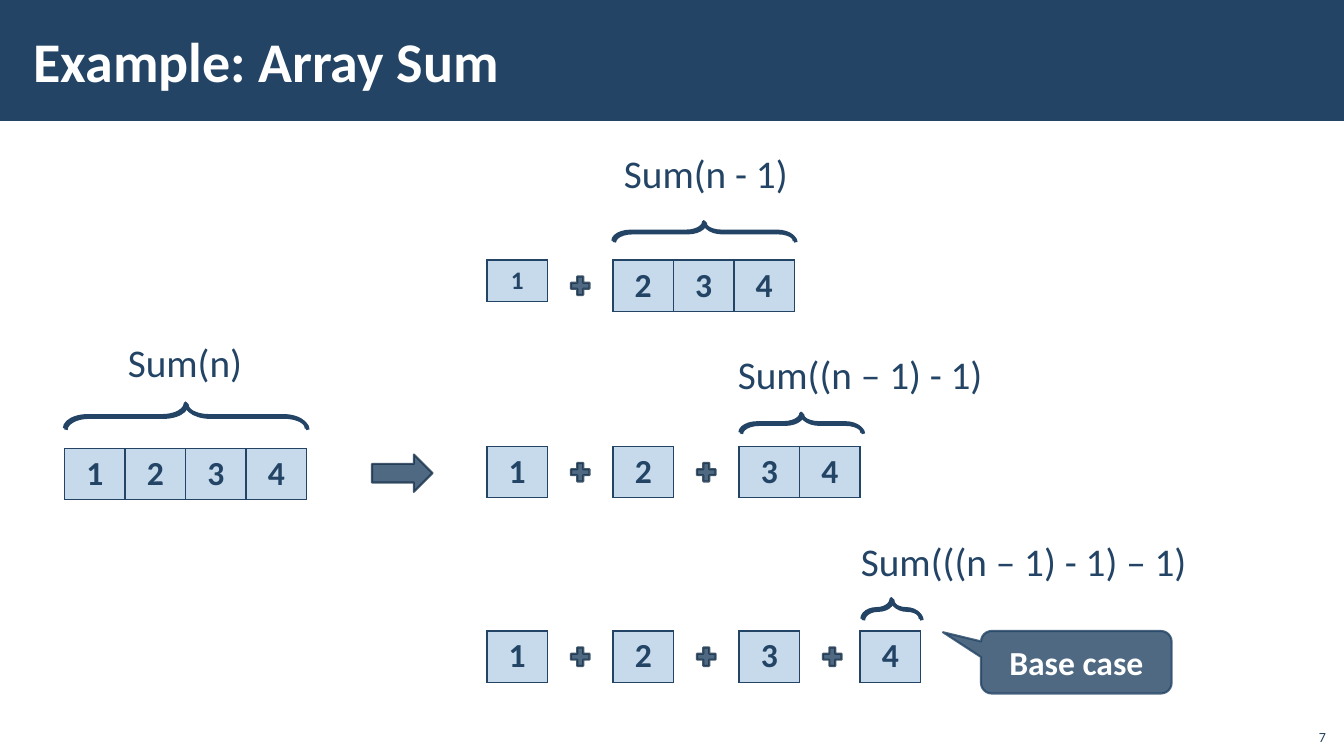
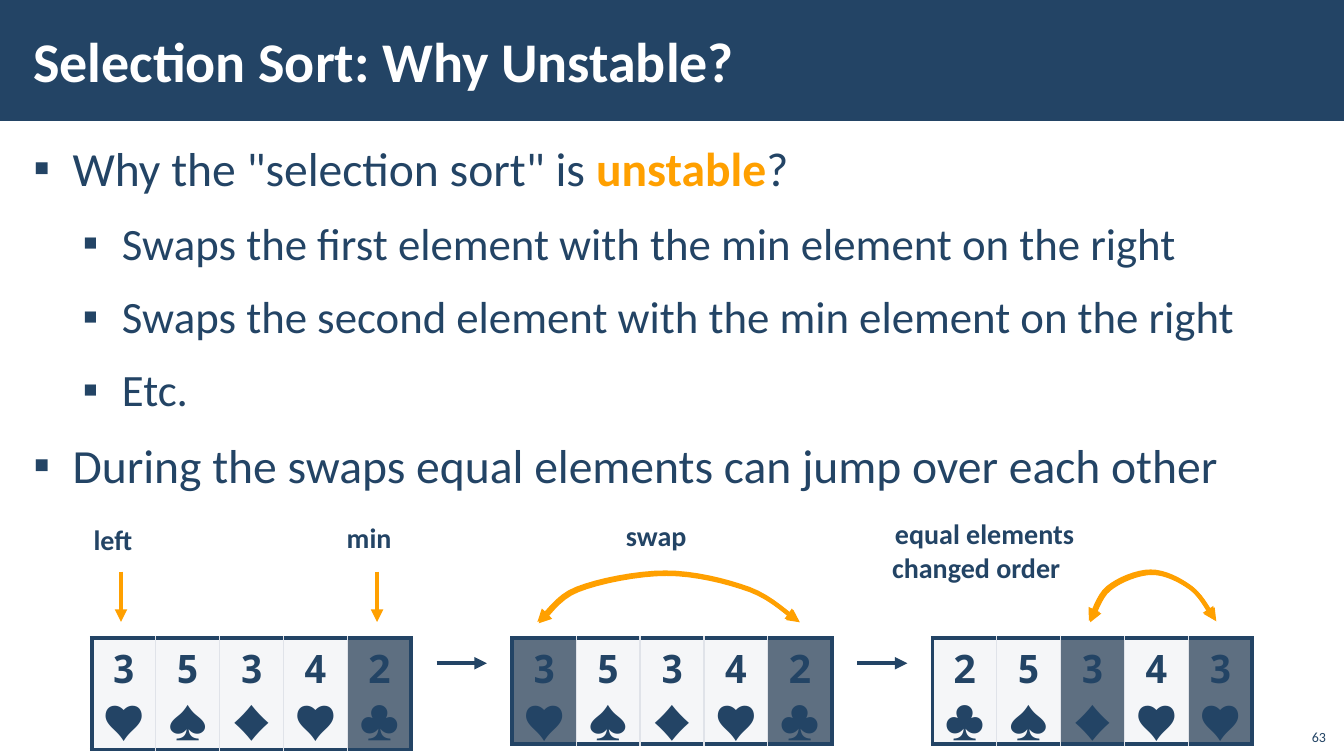
from lxml import etree
from pptx import Presentation
from pptx.dml.color import RGBColor
from pptx.enum.shapes import MSO_CONNECTOR, MSO_SHAPE
from pptx.enum.text import MSO_ANCHOR, MSO_AUTO_SIZE, PP_ALIGN
from pptx.oxml.ns import qn
from pptx.util import Inches, Pt

STRAIGHT = MSO_CONNECTOR.STRAIGHT
RECT, PLUS, BLOCK_ARROW = MSO_SHAPE.RECTANGLE, MSO_SHAPE.MATH_PLUS, MSO_SHAPE.RIGHT_ARROW
BRACE, CALLOUT = MSO_SHAPE.LEFT_BRACE, MSO_SHAPE.ROUNDED_RECTANGULAR_CALLOUT
LEFT, CENTER, RIGHT = PP_ALIGN.LEFT, PP_ALIGN.CENTER, PP_ALIGN.RIGHT
MIDDLE, BOTTOM = MSO_ANCHOR.MIDDLE, MSO_ANCHOR.BOTTOM
NO_FIT = MSO_AUTO_SIZE.NONE
FONT, CARD_FONT = "Calibri", "Noto Sans Mono"
COLORS = {"navy": "234465", "dark": "1A334C", "sky": "C7DAEC", "pale": "E0E3E9",
          "orange": "FFA000", "white": "FFFFFF"}
CELL_W, CARD_W, STEP = 0.6, 0.634, 1.25
ARC = [(0, 1), (0.03, 0.9), (0.07, 0.49), (0.15, 0.33), (0.23, 0.16), (0.38, 0),
       (0.49, 0), (0.6, 0), (0.72, 0.16), (0.81, 0.33), (0.9, 0.51), (0.96, 0.86), (1, 0.98)]


def rgb(name):
    """Return a palette colour."""
    return RGBColor.from_string(COLORS[name])


def box(x, y, w, h):
    """Return a box in inches as lengths."""
    return Inches(x), Inches(y), Inches(w), Inches(h)


def add_run(p, text, size, color="navy", bold=False, font=FONT):
    """Append a formatted run."""
    r = p.add_run()
    r.text = text
    r.font.name, r.font.size, r.font.bold = font, Pt(size), bold
    r.font.color.rgb = rgb(color)


def set_alpha(parent, percent):
    """Make the solid fill of an element partly transparent."""
    clr = parent.find(qn("a:solidFill"))[0]
    etree.SubElement(clr, qn("a:alpha")).set("val", str(percent * 1000))


def add_heads(ln, *tags):
    """Put triangle arrowheads on a line."""
    for tag in tags:
        etree.SubElement(ln, qn(tag)).set("type", "triangle")


def add_shadow(sp, color):
    """Give a shape a thin hard shadow."""
    sp.shadow.inherit = False
    effects = sp._element.spPr.find(qn("a:effectLst"))
    shadow = etree.SubElement(effects, qn("a:outerShdw"), dist="17780", dir="2700000")
    etree.SubElement(shadow, qn("a:srgbClr")).set("val", COLORS[color])


def set_frame(tf, anchor=None):
    """Apply the placeholder margins and turn off text fitting."""
    tf.word_wrap, tf.auto_size = True, NO_FIT
    tf.margin_left = tf.margin_right = Inches(0.12)
    tf.margin_top = tf.margin_bottom = Inches(0.04)
    if anchor is not None:
        tf.vertical_anchor = anchor


def add_band(prs, s):
    """Draw the title band and move it to the slide master."""
    sp = s.shapes.add_shape(RECT, 0, 0, prs.slide_width, Inches(1.2))
    sp.shadow.inherit = False
    sp.fill.solid()
    sp.fill.fore_color.rgb = rgb("navy")
    sp.line.fill.background()
    prs.slide_master.shapes._spTree.insert(2, sp._element)


def add_title(s, text):
    """Place and fill the title."""
    title = s.shapes.title
    title.left, title.top, title.width, title.height = box(0.21, 0.11, 10.63, 0.97)
    set_frame(title.text_frame, MIDDLE)
    p = title.text_frame.paragraphs[0]
    p.alignment = LEFT
    add_run(p, text, 40, "white", True)


def add_number(s, number):
    """Place the slide number."""
    tf = s.shapes.add_textbox(*box(12.85, 7.12, 0.4, 0.32)).text_frame
    tf.word_wrap, tf.vertical_anchor = True, BOTTOM
    tf.paragraphs[0].alignment = RIGHT
    add_run(tf.paragraphs[0], number, 10)


def add_label(s, x, y, w, h, text, size=28, bold=False):
    """Add a one-line label and return its text frame."""
    tf = s.shapes.add_textbox(*box(x, y, w, h)).text_frame
    tf.word_wrap = False
    add_run(tf.paragraphs[0], text, size, bold=bold)
    return tf


def add_solid(s, kind, x, y, w, h, line="dark"):
    """Add a translucent navy shape."""
    sp = s.shapes.add_shape(kind, *box(x, y, w, h))
    sp.shadow.inherit = False
    sp.fill.solid()
    sp.fill.fore_color.rgb = rgb("navy")
    set_alpha(sp._element.spPr, 80)
    sp.line.color.rgb, sp.line.width = rgb(line), Pt(1.5)
    set_alpha(sp.line._get_or_add_ln(), 80)
    return sp


def add_brace(s, x, y, w, h):
    """Add a brace that opens downwards and fills the given box."""
    sp = s.shapes.add_shape(BRACE, *box(x + (w - h) / 2, y + (h - w) / 2, h, w))
    sp.rotation = 90
    sp.adjustments[0], sp.adjustments[1] = 0.92, 0.5
    sp.fill.background()
    sp.line.color.rgb, sp.line.width = rgb("navy"), Pt(2.5)
    add_shadow(sp, "navy")


def set_borders(cell, sides):
    """Draw cell borders, given as colour and width for left, right, top, bottom."""
    tc_pr = cell._tc.get_or_add_tcPr()
    for side, (color, width) in zip("LRTB", sides):
        ln = etree.SubElement(tc_pr, qn(f"a:ln{side}"), w=str(Pt(width)))
        fill = etree.SubElement(ln, qn("a:solidFill"))
        etree.SubElement(fill, qn("a:srgbClr")).set("val", COLORS[color])


def add_row_table(s, x, y, col_w, h, values):
    """Add a plain one-row table and return its cells."""
    frame = s.shapes.add_table(1, len(values), *box(x, y, col_w * len(values), h))
    table = frame.table
    table.first_row = table.horz_banding = False
    return [table.cell(0, i) for i in range(len(values))]


def fill_cell(cell, text, size, font, color, opacity=100):
    """Fill a cell with a colour and centred text."""
    cell.fill.solid()
    cell.fill.fore_color.rgb = rgb(color)
    set_alpha(cell._tc.tcPr, opacity)
    p = cell.text_frame.paragraphs[0]
    p.alignment = CENTER
    add_run(p, text, size, bold=True, font=font)
    return p


def add_array(s, x, y, values, size=24):
    """Add an array of numbers."""
    h = 0.5 if size == 24 else 0.41
    for cell, value in zip(add_row_table(s, x, y, CELL_W, h, values), values):
        set_borders(cell, [("navy", 1)] * 4)
        fill_cell(cell, value, size, FONT, "sky")


def add_sum(s, x, y, singles, rest, rest_x, size=24):
    """Add single elements joined by plus signs to the rest of the array."""
    for i, value in enumerate(singles):
        add_array(s, x + i * STEP, y, value, size)
        add_solid(s, PLUS, x + i * STEP + 0.8, y + 0.13, 0.25, 0.25)
    add_array(s, rest_x, y, rest)


def add_cards(s, x, y, cards, marked, bottom=0):
    """Add a row of cards with the marked ones darkened."""
    last = len(cards) - 1
    for i, cell in enumerate(add_row_table(s, x, y, CARD_W, 1, cards)):
        edge, inner = ("navy", 3), ("pale", 1)
        set_borders(cell, [edge if i == 0 else inner, edge if i == last else inner, edge, edge])
        cell.margin_bottom = Inches(bottom)
        color, opacity = ("dark", 70) if i in marked else ("pale", 30)
        fill_cell(cell, cards[i], 28, CARD_FONT, color, opacity).line_spacing = 0.95


def add_arrow(s, x1, y1, x2, y2, color):
    """Add a straight arrow."""
    c = s.shapes.add_connector(STRAIGHT, Inches(x1), Inches(y1), Inches(x2), Inches(y2))
    c.line.color.rgb, c.line.width = rgb(color), Pt(3)
    add_heads(c.line._get_or_add_ln(), "a:tailEnd")
    etree.SubElement(c._element.spPr, qn("a:effectLst"))


def curve_points(controls, steps=8):
    """Return points along a chain of cubic curves."""
    points = [controls[0]]
    for i in range(0, len(controls) - 1, 3):
        for t in (k / steps for k in range(1, steps + 1)):
            weights = ((1 - t) ** 3, 3 * t * (1 - t) ** 2, 3 * t * t * (1 - t), t ** 3)
            points.append(tuple(sum(w * c[axis] for w, c in zip(weights, controls[i:i + 4]))
                                for axis in (0, 1)))
    return points


def add_swap_arc(s, x, y, w, h):
    """Add a two-headed arc that fills the given box."""
    points = [(Inches(x + w * px), Inches(y + h * py)) for px, py in curve_points(ARC)]
    builder = s.shapes.build_freeform(*points[0])
    builder.add_line_segments(points[1:], close=False)
    sp = builder.convert_to_shape()
    sp.fill.background()
    sp.line.color.rgb, sp.line.width = rgb("orange"), Pt(3)
    add_heads(sp.line._get_or_add_ln(), "a:headEnd", "a:tailEnd")
    add_shadow(sp, "orange")


def add_bullets(s, items):
    """Fill the body placeholder with bullets of level and runs."""
    body = s.placeholders[1]
    body.left, body.top, body.width, body.height = box(0.21, 1.31, 12.92, 3.75)
    tf = body.text_frame
    set_frame(tf)
    for i, (level, runs) in enumerate(items):
        p = tf.paragraphs[0] if i == 0 else tf.add_paragraph()
        p.level, p.line_spacing = level, 1.05
        p.space_before = p.space_after = Pt(6)
        p_pr = p._p.get_or_add_pPr()
        p_pr.set("marL", str(Inches((0.39, 0.88)[level])))
        p_pr.set("indent", str(Inches(-0.39)))
        etree.SubElement(p_pr, qn("a:buChar")).set("char", "▪")
        for text, color, bold in runs:
            add_run(p, text, (34, 32)[level], color, bold)


def array_sum_slide(s):
    """Build the recursive array sum slide."""
    add_title(s, "Example: Array Sum")
    add_array(s, 0.64, 4.45, "1234")
    add_solid(s, BLOCK_ARROW, 3.69, 4.51, 0.6, 0.37)
    add_sum(s, 4.83, 2.58, "1", "234", 6.08, 18)
    add_sum(s, 4.83, 4.43, "12", "34", 7.33)
    add_sum(s, 4.83, 6.26, "123", "4", 8.53)
    for label, brace in (
            ((1.17, 3.31, 1.35, 0.57, "Sum(n)"), (0.64, 4, 2.4, 0.25)),
            ((6.09, 1.43, 1.85, 0.57, "Sum(n - 1)"), (6.08, 2.2, 1.8, 0.19)),
            ((7.22, 3.43, 2.66, 0.57, "Sum((n – 1) - 1)"), (7.34, 4.1, 1.21, 0.19)),
            ((8.44, 5.28, 3.59, 0.57, "Sum(((n – 1) - 1) – 1)"), (8.55, 5.94, 0.58, 0.2))):
        add_label(s, *label)
        add_brace(s, *brace)
    sp = add_solid(s, CALLOUT, 9.73, 6.26, 1.89, 0.62, "navy")
    for i, value in enumerate((-0.7, -0.48, 0.17)):
        sp.adjustments[i] = value
    sp.text_frame.vertical_anchor = MIDDLE
    p = sp.text_frame.paragraphs[0]
    p.alignment = CENTER
    add_run(p, "Base case", 24, "white", True)
    add_number(s, "7")


def unstable_sort_slide(s):
    """Build the unstable selection sort slide."""
    add_title(s, "Selection Sort: Why Unstable?")
    add_bullets(s, [
        (0, [('Why the "selection sort" is ', "navy", False), ("unstable", "orange", True),
             ("?", "navy", False)]),
        (1, [("Swaps the first element with the min element on the right", "navy", False)]),
        (1, [("Swaps the second element with the min element on the right", "navy", False)]),
        (1, [("Etc.", "navy", False)]),
        (0, [("During the swaps equal elements can jump over each other", "navy", False)])])
    before, after = ["3♥", "5♠", "3♦", "4♥", "2♣"], ["2♣", "5♠", "3♦", "4♥", "3♥"]
    add_cards(s, 0.91, 6.33, before, {4}, 0.05)
    add_cards(s, 5.08, 6.33, before, {0, 4})
    add_cards(s, 9.25, 6.33, after, {2, 4})
    for x in (1.2, 3.74):
        add_arrow(s, x, 5.67, x, 6.17, "orange")
    for x in (4.33, 8.5):
        add_arrow(s, x, 6.58, x + 0.5, 6.58, "navy")
    add_swap_arc(s, 5.33, 5.68, 2.59, 0.49)
    add_swap_arc(s, 10.8, 5.67, 1.25, 0.49)
    add_label(s, 0.83, 5.13, 0.6, 0.44, "left", 20, True)
    add_label(s, 3.34, 5.11, 0.65, 0.44, "min", 20, True)
    add_label(s, 6.11, 5.09, 0.81, 0.44, "swap", 20, True)
    tf = add_label(s, 8.75, 5.08, 2.03, 0.77, "equal elements", 20, True)
    tf.paragraphs[0].alignment = CENTER
    add_run(tf.add_paragraph(), "changed order", 20, bold=True)
    add_number(s, "63")


def main():
    """Build and save the presentation."""
    prs = Presentation()
    prs.slide_width, prs.slide_height = Inches(13.33), Inches(7.5)
    title_only, title_body = prs.slide_layouts[5], prs.slide_layouts[1]
    s = prs.slides.add_slide(title_only)
    add_band(prs, s)
    array_sum_slide(s)
    unstable_sort_slide(prs.slides.add_slide(title_body))
    prs.save("out.pptx")


if __name__ == "__main__":
    main()
